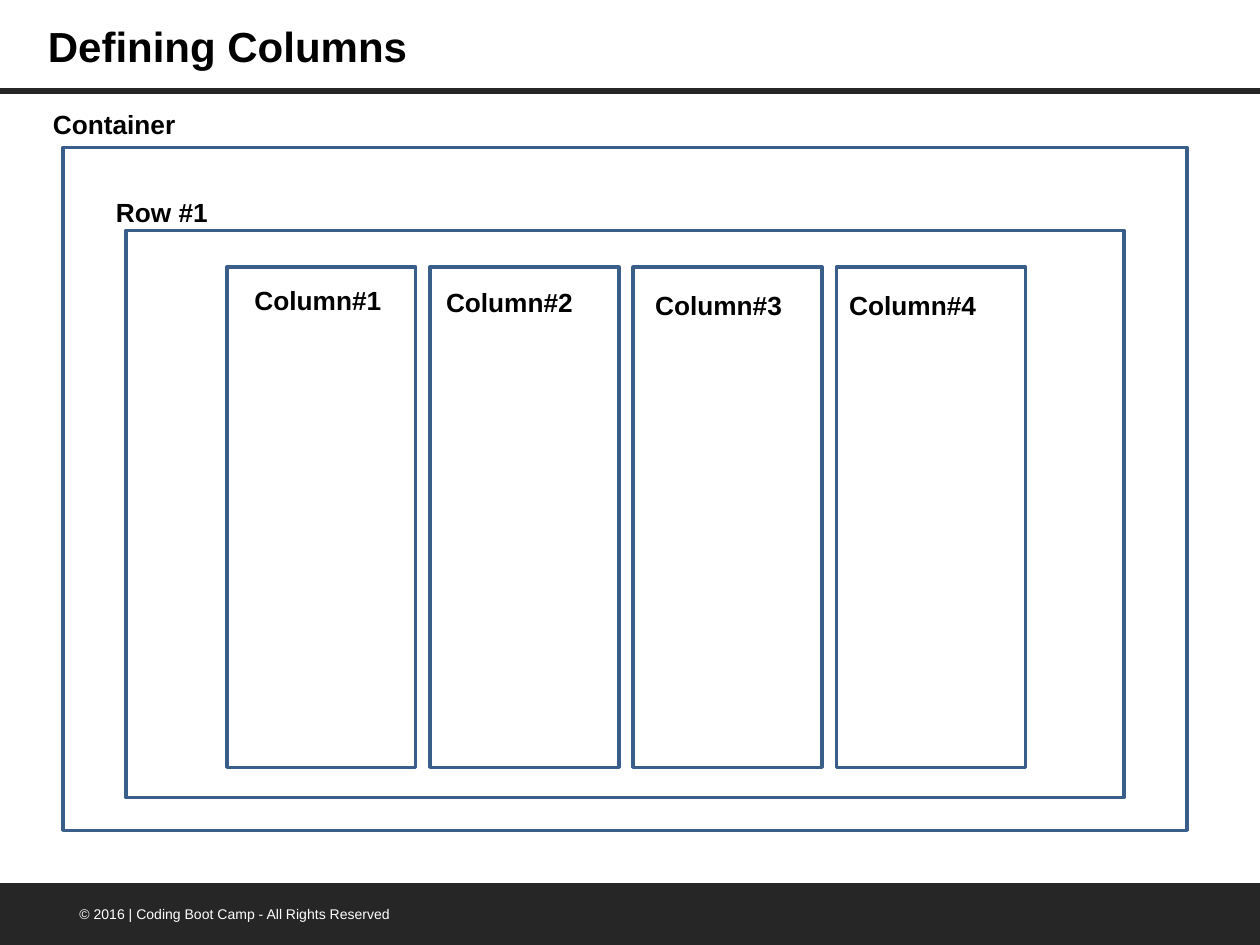
from lxml import etree
from pptx import Presentation
from pptx import util as u
from pptx.dml.color import RGBColor
from pptx.enum import shapes, text
from pptx.oxml.ns import qn

COLORS = {"bar": "262626", "outline": "3A5E8A", "ink": "000000", "paper": "FFFFFF"}
FONT = "Arial"
COLUMN_LEFT, COLUMN_PITCH = 1.8, 1.613
COLUMN_LABELS = [(1.97, 2.21), (3.49, 2.22), (5.15, 2.25), (6.69, 2.25)]


def color(name):
    return RGBColor.from_string(COLORS[name])


def inches(*lengths):
    return [u.Inches(length) for length in lengths]


def write(box, words, size, ink="ink", bold=True):
    """Fill a text box or placeholder with one left-aligned line."""
    frame = box.text_frame
    frame.word_wrap = True
    frame.auto_size = text.MSO_AUTO_SIZE.NONE
    frame.vertical_anchor = text.MSO_ANCHOR.TOP
    frame.margin_left = frame.margin_right = u.Inches(0.05)
    frame.margin_top = frame.margin_bottom = u.Inches(0.05)
    para = frame.paragraphs[0]
    para.alignment = text.PP_ALIGN.LEFT
    span = para.add_run()
    span.text = words
    span.font.name = FONT
    span.font.size = u.Pt(size)
    span.font.bold = bold
    span.font.color.rgb = color(ink)


def add_title(page, words):
    title = page.shapes.title
    title.left, title.top, title.width, title.height = inches(0.33, 0.11, 5.58, 0.48)
    write(title, words, 24)


def add_label(page, words, left, top, width=5.58):
    write(page.shapes.add_textbox(*inches(left, top, width, 0.33)), words, 15)


def add_rectangle(page, left, top, width, height):
    box = page.shapes.add_shape(shapes.MSO_SHAPE.RECTANGLE,
                                *inches(left, top, width, height))
    box.shadow.inherit = False
    return box


def add_frame(page, left, top, width, height):
    """Add an unfilled, outlined rectangle."""
    box = add_rectangle(page, left, top, width, height)
    box.fill.background()
    box.line.color.rgb = color("outline")
    box.line.width = u.Pt(2)


def add_header_rule(page):
    rule = page.shapes.add_connector(shapes.MSO_CONNECTOR.STRAIGHT,
                                     *inches(0, 0.72, 10, 0.72))
    rule.line.color.rgb = color("bar")
    rule.line.width = u.Pt(3.25)
    etree.SubElement(rule.element.spPr, qn("a:effectLst"))


def add_footer(page, words):
    bar = add_rectangle(page, -0.01, 7.01, 10.01, 0.5)
    bar.fill.solid()
    bar.fill.fore_color.rgb = color("bar")
    bar.line.fill.background()
    notice = page.shapes.add_textbox(*inches(0.58, 7.14, 3.05, 0.22))
    write(notice, words, 8, ink="paper", bold=False)


def main():
    deck = Presentation()
    deck.slide_width, deck.slide_height = inches(10, 7.5)
    page = deck.slides.add_slide(deck.slide_layouts.get_by_name("Title Only"))
    page.background.fill.solid()
    page.background.fill.fore_color.rgb = color("paper")

    add_header_rule(page)
    add_footer(page, "© 2016 | Coding Boot Camp - All Rights Reserved")
    add_title(page, "Defining Columns")

    add_frame(page, 0.5, 1.17, 8.92, 5.42)
    add_label(page, "Container", 0.37, 0.81)
    add_frame(page, 1, 1.83, 7.92, 4.5)
    add_label(page, "Row #1", 0.87, 1.51)
    for index, (left, top) in enumerate(COLUMN_LABELS):
        add_frame(page, COLUMN_LEFT + index * COLUMN_PITCH, 2.12, 1.5, 3.97)
        add_label(page, f"Column#{index + 1}", left, top, 1.24)

    deck.save("out.pptx")


if __name__ == "__main__":
    main()
